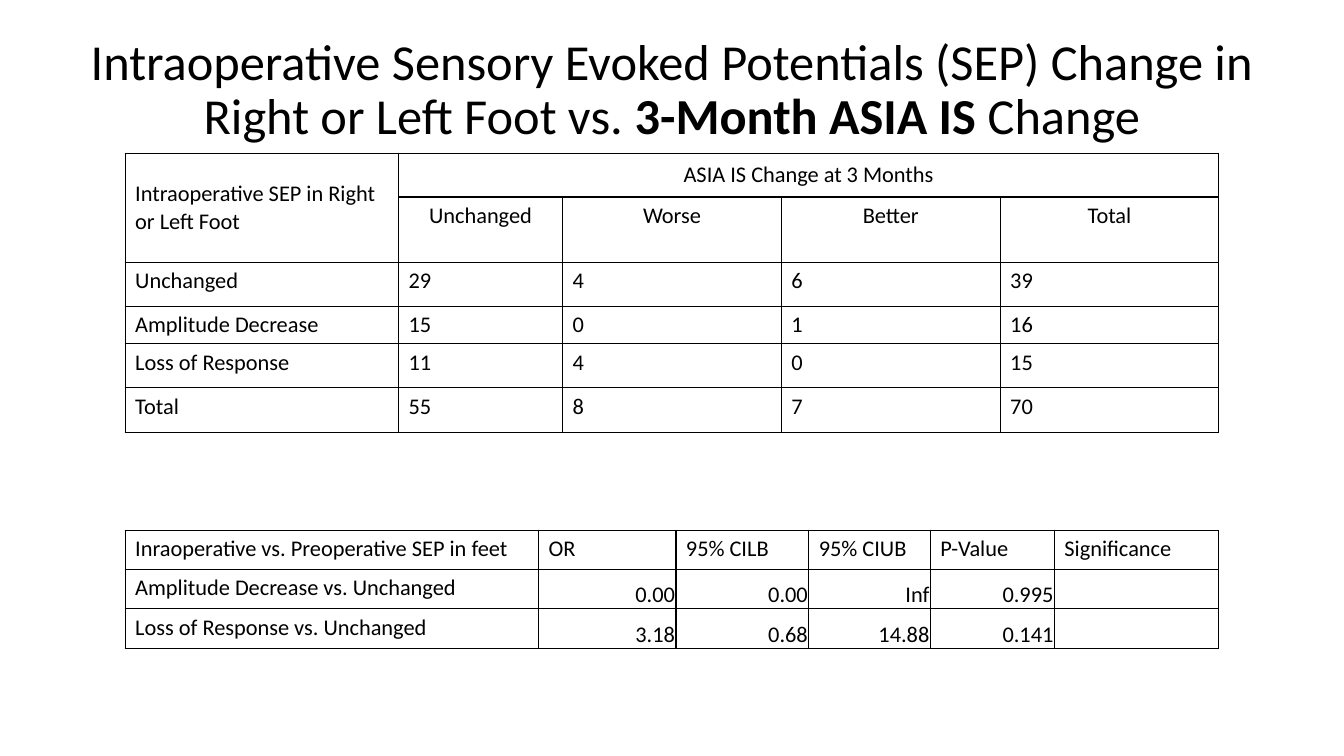
from dataclasses import dataclass

from lxml import etree
from pptx import Presentation
from pptx import util as u
from pptx.dml import color
from pptx.enum import text
from pptx.oxml import ns

COLORS = {"ink": "000000", "page": "FFFFFF"}
FONT = "Calibri"
LEFT, MIDDLE, RIGHT = text.PP_ALIGN.LEFT, text.PP_ALIGN.CENTER, text.PP_ALIGN.RIGHT
TOP, CENTER, BOTTOM = (text.MSO_ANCHOR.TOP, text.MSO_ANCHOR.MIDDLE,
                       text.MSO_ANCHOR.BOTTOM)


@dataclass(frozen=True)
class Span:
    words: str
    bold: bool = False


@dataclass(frozen=True)
class CellStyle:
    align: text.PP_ALIGN = LEFT
    anchor: text.MSO_ANCHOR = TOP
    tight: bool = False


@dataclass(frozen=True)
class Grid:
    top: float
    widths: list[float]
    heights: list[float]
    rows: list[list[str]]
    styles: dict[tuple[int, int], CellStyle]
    merges: list[tuple[int, int, int, int]]


TABLE_LEFT = 89.4

# Counts of patients by foot response and ASIA change
COUNTS = Grid(
    top=109.4,
    widths=[195.2, 117.3, 156.25, 156.25, 156.25],
    heights=[31.4, 46.6, 31.4, 26.9, 31.4, 31.9],
    rows=[
        ["Intraoperative SEP in Right or Left Foot", "ASIA IS Change at 3 Months", "", "", ""],
        ["", "Unchanged", "Worse", "Better", "Total"],
        ["Unchanged", "29", "4", "6", "39"],
        ["Amplitude Decrease", "15", "0", "1", "16"],
        ["Loss of Response", "11", "4", "0", "15"],
        ["Total", "55", "8", "7", "70"],
    ],
    styles={
        (0, 0): CellStyle(anchor=CENTER),
        (0, 1): CellStyle(MIDDLE, CENTER),
        **{(1, column): CellStyle(MIDDLE) for column in range(1, 5)},
    },
    merges=[(0, 0, 1, 0), (0, 1, 0, 4)],
)

# Odds ratios against the unchanged group
ODDS = Grid(
    top=378.7,
    widths=[295.2, 98.2, 94.9, 86.9, 88.6, 117.4],
    heights=[28.1] * 3,
    rows=[
        ["Inraoperative vs. Preoperative SEP in feet", "OR", "95% CILB", "95% CIUB",
         "P-Value", "Significance"],
        ["Amplitude Decrease vs. Unchanged", "0.00", "0.00", "Inf", "0.995", ""],
        ["Loss of Response vs. Unchanged", "3.18", "0.68", "14.88", "0.141", ""],
    ],
    styles={(row, column): CellStyle(RIGHT, BOTTOM, True)
            for row in (1, 2) for column in range(1, 6)},
    merges=[],
)


def add_span(para, span: Span, size: float) -> None:
    run = para.add_run()
    run.text = span.words
    run.font.name = FONT
    run.font.size = u.Pt(size)
    run.font.bold = span.bold
    run.font.color.rgb = color.RGBColor.from_string(COLORS["ink"])


def add_borders(cell) -> None:
    properties = cell._tc.get_or_add_tcPr()
    for side in ("a:lnL", "a:lnR", "a:lnT", "a:lnB"):
        line = etree.SubElement(properties, ns.qn(side), w=str(u.Pt(1)))
        fill = etree.SubElement(line, ns.qn("a:solidFill"))
        etree.SubElement(fill, ns.qn("a:srgbClr"), val=COLORS["ink"])


def fill_cell(cell, words: str, style: CellStyle) -> None:
    add_borders(cell)
    cell.fill.background()
    cell.vertical_anchor = style.anchor
    if style.tight:
        cell.margin_left = cell.margin_right = cell.margin_top = u.Pt(0.7)
        cell.margin_bottom = u.Pt(0)
    para = cell.text_frame.paragraphs[0]
    para.alignment = style.align
    if words:
        add_span(para, Span(words), 16)


def add_grid(page, grid: Grid) -> None:
    frame = page.shapes.add_table(
        len(grid.heights), len(grid.widths), u.Pt(TABLE_LEFT), u.Pt(grid.top),
        u.Pt(sum(grid.widths)), u.Pt(sum(grid.heights)))
    table = frame.table
    table.first_row = table.horz_banding = False
    for column, width in zip(table.columns, grid.widths):
        column.width = u.Pt(width)
    for row, height in zip(table.rows, grid.heights):
        row.height = u.Pt(height)
    for top, left, bottom, right in grid.merges:
        table.cell(top, left).merge(table.cell(bottom, right))
    for row, texts in enumerate(grid.rows):
        for column, words in enumerate(texts):
            style = grid.styles.get((row, column), CellStyle())
            fill_cell(table.cell(row, column), words, style)


def add_title(page, spans: list[Span]) -> None:
    box = page.shapes.add_textbox(u.Pt(53.3), u.Pt(20.9), u.Pt(853.2), u.Pt(88.6))
    frame = box.text_frame
    frame.word_wrap = True
    frame.vertical_anchor = CENTER
    para = frame.paragraphs[0]
    para.alignment = MIDDLE
    para.line_spacing = 0.9
    for span in spans:
        add_span(para, span, 36)


def main() -> None:
    deck = Presentation()
    deck.slide_width, deck.slide_height = u.Pt(960), u.Pt(540)
    page = deck.slides.add_slide(deck.slide_layouts[6])
    page.background.fill.solid()
    page.background.fill.fore_color.rgb = color.RGBColor.from_string(COLORS["page"])

    # Title
    add_title(page, [
        Span("Intraoperative Sensory Evoked Potentials (SEP) Change in "
             "Right or Left Foot vs. "),
        Span("3-Month ASIA IS ", bold=True),
        Span("Change"),
    ])

    # Tables
    for grid in (COUNTS, ODDS):
        add_grid(page, grid)

    deck.save("out.pptx")


if __name__ == "__main__":
    main()
